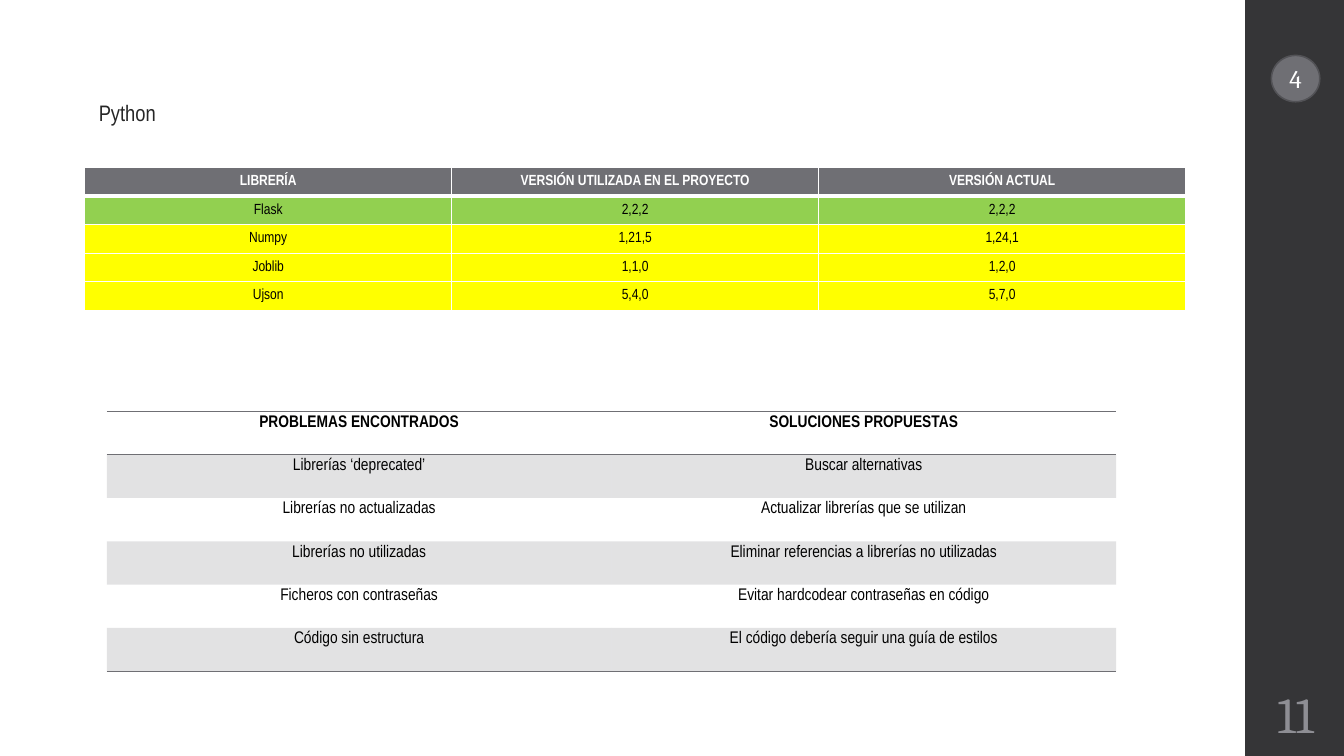
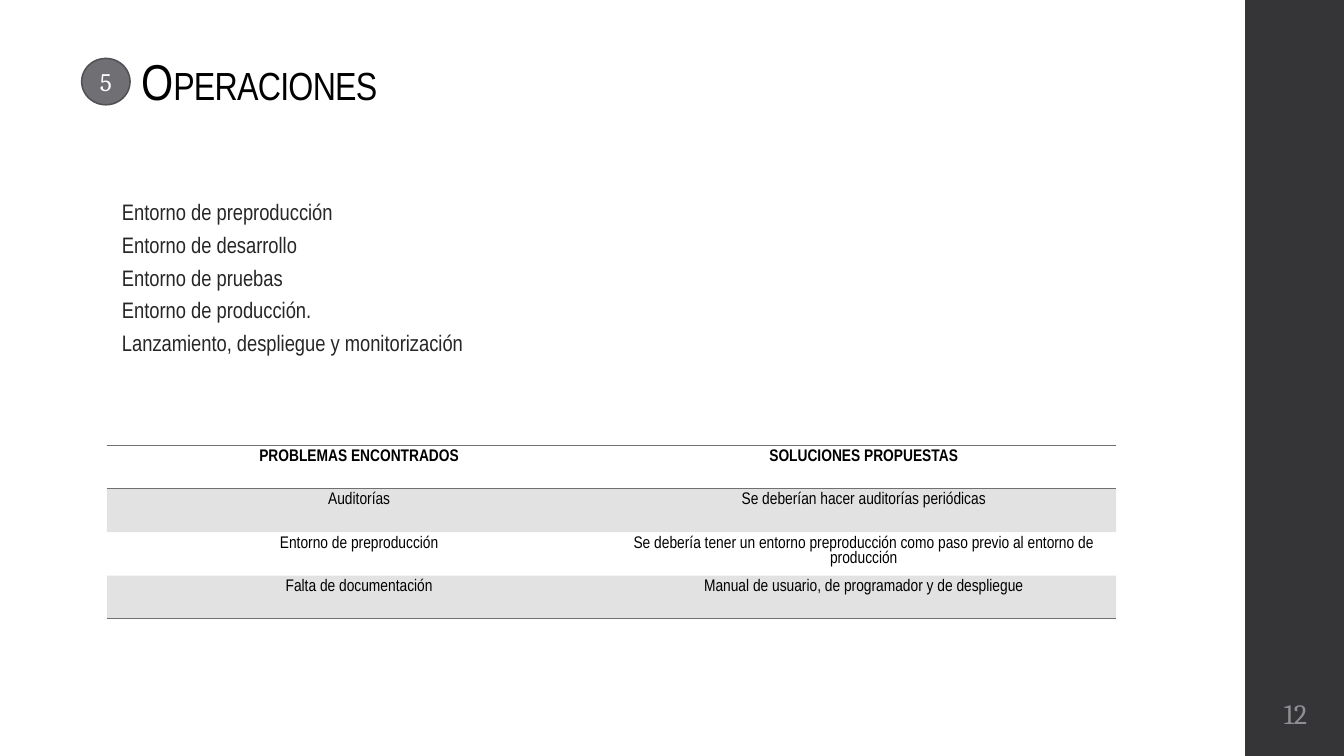
from dataclasses import dataclass
from typing import Any, NamedTuple

from lxml.etree import SubElement
from pptx import Presentation
from pptx.dml.color import RGBColor
from pptx.enum.shapes import MSO_SHAPE
from pptx.enum.text import MSO_ANCHOR, MSO_AUTO_SIZE, PP_ALIGN
from pptx.oxml.ns import qn
from pptx.slide import Slide
from pptx.table import Table
from pptx.util import Inches, Pt


@dataclass(frozen=True)
class Theme:
    band: str = "353537"
    accent: str = "6F6F74"
    outline: str = "525256"
    number: str = "8E8E94"
    text: str = "262626"
    black: str = "000000"
    white: str = "FFFFFF"
    current: str = "92D050"
    outdated: str = "FFFF00"
    sans: str = "Arial Narrow"
    serif: str = "Cambria"
    title_size: float = 36
    caps_size: float = 28
    badge_size: float = 18
    body_size: float = 16
    finding_size: float = 12
    version_size: float = 10.5


class Box(NamedTuple):
    left: float
    top: float
    width: float
    height: float

    def lengths(self) -> list[int]:
        return [Inches(v) for v in self]


class Edge(NamedTuple):
    side: str
    color: str
    width: float


class Cell(NamedTuple):
    text: str
    color: str
    bold: bool
    fill: str | None
    alpha: int
    edges: list[Edge]


THEME = Theme()
BAND_LEFT = 12.35
PLAIN_TABLE = "{2D5ABB26-0587-4C30-8999-92F81FD0307C}"
FINDINGS_HEADER = ("PROBLEMAS ENCONTRADOS", "SOLUCIONES PROPUESTAS")


def apply(target: Any, values: dict[str, Any]) -> None:
    for name, value in values.items():
        setattr(target, name, value)


def add_run(p: Any, text: str, size: float, color: str, font: str, bold: bool = False) -> Any:
    r = p.add_run()
    r.text = text
    apply(r.font, {"size": Pt(size), "name": font, "bold": bold})
    r.font.color.rgb = RGBColor.from_string(color)
    return r


def place(shape: Any, box: Box) -> None:
    apply(shape, dict(zip(("left", "top", "width", "height"), box.lengths())))


def add_filled(s: Slide, kind: MSO_SHAPE, box: Box, color: str) -> Any:
    sp = s.shapes.add_shape(kind, *box.lengths())
    sp.shadow.inherit = False
    sp.fill.solid()
    sp.fill.fore_color.rgb = RGBColor.from_string(color)
    sp.line.fill.background()
    return sp


def add_master_band(prs: Any, s: Slide) -> None:
    band = add_filled(s, MSO_SHAPE.RECTANGLE, Box(BAND_LEFT, 0, 1, 7.5), THEME.band)
    prs.slide_master.shapes.element.insert(2, band.element)


def center_text(sp: Any, text: str, size: float, color: str, margin: float) -> None:
    tf = sp.text_frame
    sides = ("margin_left", "margin_top", "margin_right", "margin_bottom")
    apply(tf, {"word_wrap": True, "vertical_anchor": MSO_ANCHOR.MIDDLE}
          | dict.fromkeys(sides, Inches(margin)))
    p = tf.paragraphs[0]
    p.alignment = PP_ALIGN.CENTER
    add_run(p, text, size, color, THEME.serif)


def add_page_number(s: Slide, number: int, size: float) -> None:
    sp = s.shapes.add_textbox(*Box(BAND_LEFT, 6.75, 1, 0.65).lengths())
    center_text(sp, str(number), size, THEME.number, 0.05)


def add_badge(s: Slide, number: int, left: float, top: float) -> None:
    sp = add_filled(s, MSO_SHAPE.OVAL, Box(left, top, 0.48, 0.46), THEME.accent)
    sp.line.color.rgb = RGBColor.from_string(THEME.outline)
    sp.line.width = Pt(1.1)
    center_text(sp, str(number), THEME.badge_size, THEME.white, 0)


def fill_title(s: Slide, text: str) -> None:
    sp = s.shapes.title
    place(sp, Box(1.3, 0.39, 3.56, 0.77))
    tf = sp.text_frame
    apply(tf, {"word_wrap": True, "auto_size": MSO_AUTO_SIZE.NONE,
               "vertical_anchor": MSO_ANCHOR.BOTTOM})
    p = tf.paragraphs[0]
    apply(p, {"alignment": PP_ALIGN.LEFT, "line_spacing": 0.9})
    for part, size in ((text[0], THEME.title_size), (text[1:].upper(), THEME.caps_size)):
        r = add_run(p, part, size, THEME.black, THEME.sans)
        r.font._element.set("spc", "-50")


def fill_body(s: Slide, box: Box, lines: list[str]) -> None:
    sp = s.placeholders[1]
    place(sp, box)
    tf = sp.text_frame
    apply(tf, {"word_wrap": True, "auto_size": MSO_AUTO_SIZE.NONE,
               "vertical_anchor": MSO_ANCHOR.TOP})
    for i, line in enumerate(lines):
        p = tf.add_paragraph() if i else tf.paragraphs[0]
        apply(p, {"line_spacing": 0.9, "space_before": Pt(3 if i else 0), "space_after": Pt(3)})
        pPr = p._p.get_or_add_pPr()
        pPr.attrib.update({"marL": str(Inches(0.3)), "indent": "0"})
        SubElement(pPr, qn("a:buNone"))
        add_run(p, line, THEME.body_size, THEME.text, THEME.sans)


def draw_edge(tcPr: Any, edge: Edge) -> None:
    ln = SubElement(tcPr, qn(f"a:ln{edge.side}"), w=str(Pt(edge.width)))
    SubElement(SubElement(ln, qn("a:solidFill")), qn("a:srgbClr"), val=edge.color)


def add_plain_table(s: Slide, box: Box, rows: int, cols: int) -> Table:
    table = s.shapes.add_table(rows, cols, *box.lengths()).table
    apply(table, {"first_row": False, "horz_banding": False})
    table._tbl.tblPr.find(qn("a:tableStyleId")).text = PLAIN_TABLE
    return table


def fill_table(table: Table, cells: list[list[Cell]], size: float,
               cell_format: dict[str, Any], spacing: float) -> None:
    for i, row in enumerate(cells):
        for j, spec in enumerate(row):
            cell = table.cell(i, j)
            apply(cell, cell_format)
            tcPr = cell._tc.get_or_add_tcPr()
            for edge in spec.edges:
                draw_edge(tcPr, edge)
            if spec.fill:
                cell.fill.solid()
                cell.fill.fore_color.rgb = RGBColor.from_string(spec.fill)
                if spec.alpha < 100:
                    color = tcPr.find(qn("a:solidFill"))[0]
                    SubElement(color, qn("a:alpha"), val=str(spec.alpha * 1000))
            else:
                cell.fill.background()
            p = cell.text_frame.paragraphs[0]
            apply(p, {"alignment": PP_ALIGN.CENTER, "line_spacing": spacing})
            add_run(p, spec.text, size, spec.color, THEME.sans, spec.bold)


def add_versions(s: Slide, header: tuple[str, ...], libraries: list[tuple[str, str, str]]) -> None:
    rows = [header, *libraries]
    cells = []
    for i, row in enumerate(rows):
        head = i == 0
        status = THEME.current if row[1] == row[2] else THEME.outdated
        widths = {"L": 1, "R": 1, "T": 3 if i == 1 else 1, "B": 3 if head else 1}
        edges = [Edge(side, THEME.white, w) for side, w in widths.items()]
        cells.append([Cell(text, THEME.white if head else THEME.black, head,
                           THEME.accent if head else status, 100, edges) for text in row])
    table = add_plain_table(s, Box(0.84, 1.66, 10.92, 1.42), len(rows), len(header))
    fill_table(table, cells, THEME.version_size, {"vertical_anchor": MSO_ANCHOR.MIDDLE}, 1.0)


def add_findings(s: Slide, top: float, findings: list[tuple[str, str]]) -> None:
    rows = [FINDINGS_HEADER, *findings]
    cells = []
    for i, row in enumerate(rows):
        sides = "TB" if i == 0 else "B" if i == len(rows) - 1 else ""
        edges = [Edge(side, THEME.accent, 1) for side in sides]
        cells.append([Cell(text, THEME.black, i == 0, THEME.accent if i % 2 else None, 20, edges)
                      for text in row])
    table = add_plain_table(s, Box(1.06, top, 10.01, 0.43 * len(rows)), len(rows), 2)
    cell_format = {"vertical_anchor": MSO_ANCHOR.TOP, "margin_top": Inches(0.04),
                   "margin_bottom": 0}
    fill_table(table, cells, THEME.finding_size, cell_format, 0.95)


def build_python(s: Slide) -> None:
    title = s.shapes.title.element
    title.getparent().remove(title)
    add_page_number(s, 11, 36)
    add_badge(s, 4, 12.61, 0.55)
    add_versions(s, ("LIBRERÍA", "VERSIÓN UTILIZADA EN EL PROYECTO", "VERSIÓN ACTUAL"), [
        ("Flask", "2,2,2", "2,2,2"),
        ("Numpy", "1,21,5", "1,24,1"),
        ("Joblib", "1,1,0", "1,2,0"),
        ("Ujson", "5,4,0", "5,7,0"),
    ])
    fill_body(s, Box(0.58, 0.96, 11.3, 0.45), ["Python"])
    add_findings(s, 4.08, [
        ("Librerías ‘deprecated’", "Buscar alternativas"),
        ("Librerías no actualizadas", "Actualizar librerías que se utilizan"),
        ("Librerías no utilizadas", "Eliminar referencias a librerías no utilizadas"),
        ("Ficheros con contraseñas", "Evitar hardcodear contraseñas en código"),
        ("Código sin estructura", "El código debería seguir una guía de estilos"),
    ])


def build_operations(s: Slide) -> None:
    add_page_number(s, 12, 20)
    fill_title(s, "Operaciones")
    add_badge(s, 5, 0.81, 0.58)
    fill_body(s, Box(0.81, 1.95, 11.3, 2.02), [
        "Entorno de preproducción",
        "Entorno de desarrollo",
        "Entorno de pruebas",
        "Entorno de producción.",
        "Lanzamiento, despliegue y monitorización",
    ])
    add_findings(s, 4.42, [
        ("Auditorías", "Se deberían hacer auditorías periódicas"),
        ("Entorno de preproducción",
         "Se debería tener un entorno preproducción como paso previo al entorno de producción"),
        ("Falta de documentación", "Manual de usuario, de programador y de despliegue"),
    ])


def main() -> None:
    prs = Presentation()
    apply(prs, {"slide_width": Inches(13.33), "slide_height": Inches(7.5)})
    layout = prs.slide_layouts[1]
    slides = [prs.slides.add_slide(layout) for _ in range(2)]
    add_master_band(prs, slides[0])
    build_python(slides[0])
    build_operations(slides[1])
    prs.save("out.pptx")


if __name__ == "__main__":
    main()
